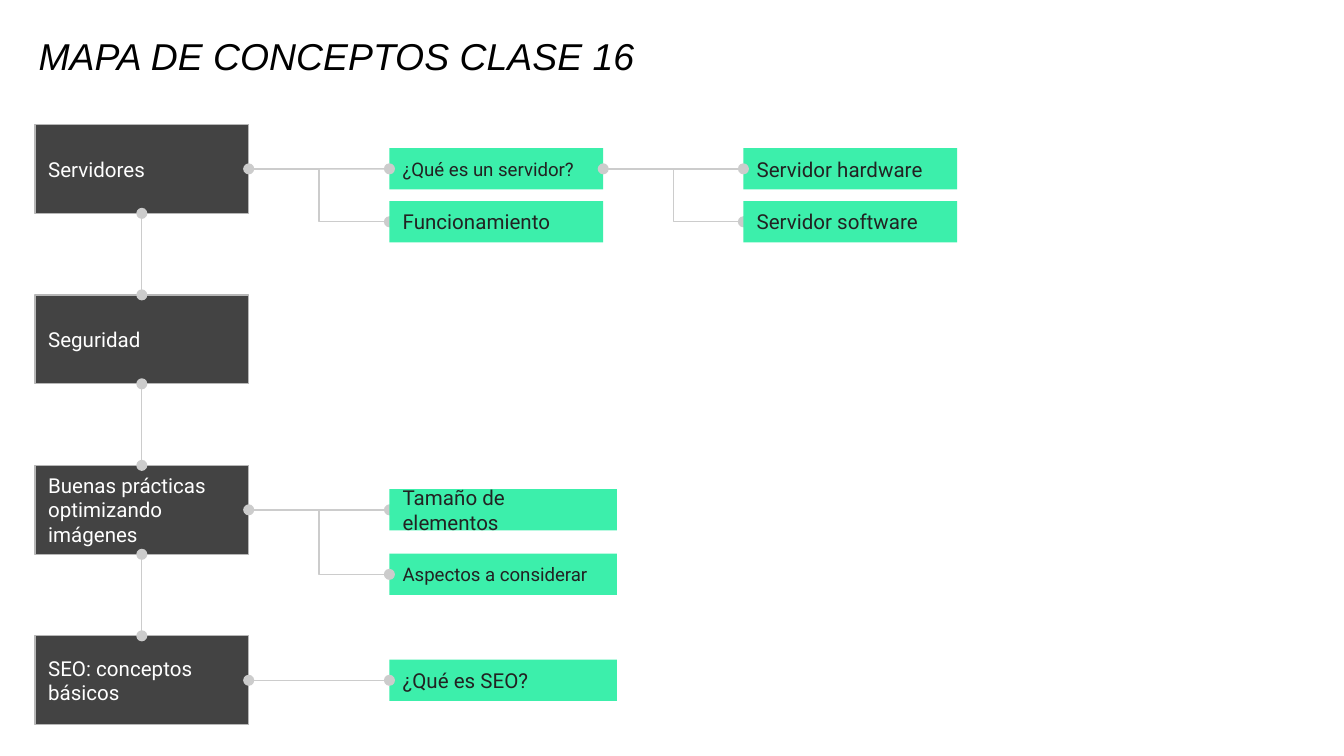
from pptx import Presentation
from pptx.dml.color import RGBColor
from pptx.enum.shapes import MSO_CONNECTOR, MSO_SHAPE
from pptx.enum.text import MSO_ANCHOR, PP_ALIGN
from pptx.oxml.ns import qn
from pptx.util import Cm, Pt
from lxml.etree import SubElement

BLACK = RGBColor(0x00, 0x00, 0x00)
WHITE = RGBColor(0xFF, 0xFF, 0xFF)
DARK = RGBColor(0x43, 0x43, 0x43)
EDGE = RGBColor(0xB7, 0xB7, 0xB7)
GREEN = RGBColor(0x3C, 0xEF, 0xAB)
INK = RGBColor(0x22, 0x22, 0x22)
WIRE = RGBColor(0xCC, 0xCC, 0xCC)

# Grid, in centimetres
COLS = (0.66, 7.36, 14.05)
FIRST, PITCH = 3.19, 3.22  # middle of the first topic, step to the next
WIDE, TALL, LOW = 4.04, 1.68, 0.78
TOP, BOTTOM, LEFT, RIGHT = 0, 2, 1, 3

TOPICS = ("Servidores", "Seguridad", "Buenas prácticas optimizando imágenes",
          "SEO: conceptos básicos")


def write(shape, text, size=11, font="Roboto", color=INK, italic=False,
          anchor=MSO_ANCHOR.MIDDLE):
    frame = shape.text_frame
    frame.word_wrap = True
    frame.vertical_anchor = anchor
    frame.margin_top = frame.margin_bottom = Cm(0.25)
    para = frame.paragraphs[0]
    para.alignment = PP_ALIGN.LEFT
    run = para.add_run()
    run.text = text
    run.font.size = Pt(size)
    run.font.name = font
    run.font.italic = italic
    run.font.color.rgb = color


def add_box(slide, col, mid, width, height, fill):
    box = slide.shapes.add_shape(MSO_SHAPE.RECTANGLE, Cm(COLS[col]),
                                 Cm(mid - height / 2), Cm(width), Cm(height))
    box.shadow.inherit = False
    box.fill.solid()
    box.fill.fore_color.rgb = fill
    box.line.fill.background()
    return box


def add_topic(slide, row, text):
    box = add_box(slide, 0, FIRST + row * PITCH, WIDE, TALL, DARK)
    box.line.color.rgb = EDGE
    box.line.width = Pt(0.75)
    write(box, text, color=WHITE)
    return box


def add_leaf(slide, col, row, text, drop=0, width=WIDE, size=11):
    box = add_box(slide, col, FIRST + row * PITCH + drop, width, LOW, GREEN)
    write(box, text, size=size)
    return box


def add_link(slide, start, end, sites=(RIGHT, LEFT), bent=False):
    kind = MSO_CONNECTOR.ELBOW if bent else MSO_CONNECTOR.STRAIGHT
    link = slide.shapes.add_connector(kind, 0, 0, 0, 0)
    link.begin_connect(start, sites[0])
    link.end_connect(end, sites[1])
    link.line.color.rgb = WIRE
    link.line.width = Pt(0.75)
    # Round ends; a bent link starts on the dot of the straight one
    line = link.line._get_or_add_ln()
    for tag in ("a:tailEnd",) if bent else ("a:headEnd", "a:tailEnd"):
        SubElement(line, qn(tag), type="oval")
    SubElement(link._element.spPr, qn("a:effectLst"))


def main():
    deck = Presentation()
    deck.slide_width, deck.slide_height = Cm(25.4), Cm(14.28)
    slide = deck.slides.add_slide(deck.slide_layouts[6])

    # Title
    title = slide.shapes.add_textbox(Cm(0.48), Cm(0.56), Cm(20.98), Cm(1.17))
    write(title, "MAPA DE CONCEPTOS CLASE 16", size=20, font="Arial",
          color=BLACK, italic=True, anchor=MSO_ANCHOR.BOTTOM)

    # Topics, chained downwards
    topics = [add_topic(slide, row, text) for row, text in enumerate(TOPICS)]
    for upper, lower in zip(topics, topics[1:]):
        add_link(slide, upper, lower, (BOTTOM, TOP))

    # Concepts
    what = add_leaf(slide, 1, 0, "¿Qué es un servidor?", size=10)
    works = add_leaf(slide, 1, 0, "Funcionamiento", drop=1)
    hard = add_leaf(slide, 2, 0, "Servidor hardware")
    soft = add_leaf(slide, 2, 0, "Servidor software", drop=1)
    sizes = add_leaf(slide, 1, 2, "Tamaño de elementos", width=4.3)
    points = add_leaf(slide, 1, 2, "Aspectos a considerar", drop=1.22,
                      width=4.3, size=10)
    seo = add_leaf(slide, 1, 3, "¿Qué es SEO?", width=4.3)

    # Branches: the first concept is level, the second hangs below
    branches = ((topics[0], what, works), (what, hard, soft),
                (topics[2], sizes, points), (topics[3], seo))
    for start, *ends in branches:
        for place, end in enumerate(ends):
            add_link(slide, start, end, bent=place > 0)

    # These boxes cover half of their dot
    for box in (works, soft, sizes):
        slide.shapes._spTree.append(box._element)

    deck.save("out.pptx")


if __name__ == "__main__":
    main()
